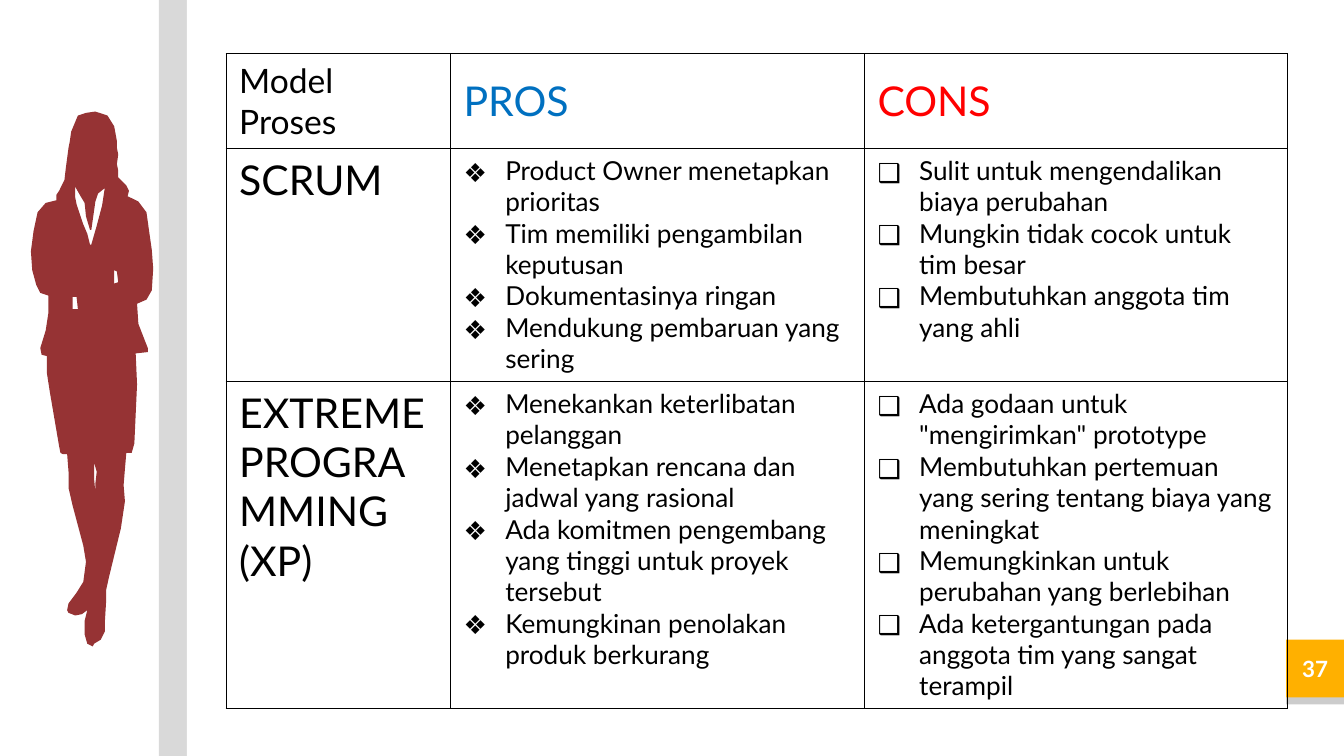
from lxml import etree
from pptx import Presentation
from pptx.dml.color import RGBColor
from pptx.enum.shapes import MSO_SHAPE
from pptx.enum.text import MSO_ANCHOR, PP_ALIGN
from pptx.oxml.ns import qn
from pptx.util import Inches, Pt

RECTANGLE = MSO_SHAPE.RECTANGLE
TOP, MIDDLE = MSO_ANCHOR.TOP, MSO_ANCHOR.MIDDLE
LEFT, CENTER = PP_ALIGN.LEFT, PP_ALIGN.CENTER

FONT = "Lato"
BLACK, WHITE, MAROON, AMBER = "000000", "FFFFFF", "963334", "FFB000"
PAGE_WIDTH = 10
PAGE_HEIGHT = PAGE_WIDTH * 9 / 16
PANEL_LEFT = 1.39
NUMBER_TOP, NUMBER_SIZE = 4.76, 0.43

TABLE_LEFT, TABLE_TOP = 1.68, 0.4
COLUMN_WIDTHS = [1.67, 3.08, 3.15]
ROW_HEIGHTS = [0.69, 1.72, 2.42]
HEADERS = [("Model Proses", 18, BLACK), ("PROS", 22, "0070C0"), ("CONS", 22, "FF0000")]
BULLETS = ["❖", "❑"]
MODELS = [
    ("SCRUM",
     ["Product Owner menetapkan prioritas",
      "Tim memiliki pengambilan keputusan",
      "Dokumentasinya ringan",
      "Mendukung pembaruan yang sering"],
     ["Sulit untuk mengendalikan biaya perubahan",
      "Mungkin tidak cocok untuk tim besar",
      "Membutuhkan anggota tim yang ahli"]),
    ("EXTREME PROGRAMMING (XP)",
     ["Menekankan keterlibatan pelanggan",
      "Menetapkan rencana dan jadwal yang rasional",
      "Ada komitmen pengembang yang tinggi untuk proyek tersebut",
      "Kemungkinan penolakan produk berkurang"],
     ["Ada godaan untuk \"mengirimkan\" prototype",
      "Membutuhkan pertemuan yang sering tentang biaya yang meningkat",
      "Memungkinkan untuk perubahan yang berlebihan",
      "Ada ketergantungan pada anggota tim yang sangat terampil"]),
]

# Contours of the standing woman, in hundredths of an inch
BODY = [
    (36, 220), (36, 233), (34, 246), (30, 259), (31, 264), (35, 265), (35, 278), (37, 291),
    (44, 332), (45, 337), (47, 338), (50, 338), (51, 351), (51, 363), (54, 376), (62, 406),
    (64, 418), (62, 433), (57, 441), (51, 449), (50, 454), (51, 456), (56, 458), (61, 457),
    (65, 454), (63, 462), (63, 472), (65, 479), (69, 481), (70, 479), (75, 476), (78, 470),
    (78, 464), (79, 447), (79, 439), (81, 430), (90, 393), (93, 373), (92, 361), (93, 349),
    (94, 337), (98, 337), (100, 330), (102, 286), (101, 263), (110, 262), (110, 259),
    (103, 241), (102, 226), (109, 223), (113, 216), (114, 200), (113, 186), (111, 172),
    (109, 158), (103, 150), (95, 146), (96, 142), (94, 138), (88, 132), (88, 127),
    (87, 122), (88, 115), (87, 110), (87, 105), (85, 94), (80, 86), (71, 83), (64, 84),
    (58, 86), (53, 98), (52, 105), (51, 110), (49, 125), (48, 134), (44, 142), (42, 145),
    (42, 149), (34, 151), (28, 158), (25, 172), (23, 187), (24, 201), (27, 212), (30, 218),
]
OPENINGS = {
    "right cuff": [(85, 201), (87, 202), (88, 210), (85, 211)],
    "legs": [(70, 337), (70, 344), (72, 351), (71, 360), (71, 366), (70, 356), (69.5, 346)],
    "collar": [(62, 167), (57, 152), (56, 147), (56, 139), (60, 146), (63, 151), (64, 161),
               (67, 171), (68, 171), (71, 150), (73, 144), (78, 140), (76, 153), (72, 168),
               (68, 182), (67, 182), (65, 174)],
    "left cuff": [(54, 221), (57, 221), (58, 230), (54, 230)],
}


def color(value):
    return RGBColor.from_string(value)


def add_xml(parent, tag, **attributes):
    return etree.SubElement(parent, qn(tag), attributes)


def write(para, text, size=14, fill=BLACK, bold=False, align=LEFT, bullet=None):
    span = para.add_run()
    span.text = text
    span.font.name, span.font.size, span.font.bold = FONT, Pt(size), bold
    span.font.color.rgb = color(fill)
    para.alignment = align
    if bullet:
        properties = para._p.get_or_add_pPr()
        indent = Inches(0.31)
        properties.set("marL", str(indent))
        properties.set("indent", str(-indent))
        add_xml(add_xml(properties, "a:buClr"), "a:srgbClr", val=BLACK)
        add_xml(properties, "a:buFont", typeface="Noto Sans Symbols")
        add_xml(properties, "a:buChar", char=bullet)


def paint(shape, fill):
    shape.shadow.inherit = False
    shape.fill.solid()
    shape.fill.fore_color.rgb = color(fill)
    shape.line.fill.background()


def cast_shadow(shape, distance, degrees, opacity):
    """Give the shape a sharp black shadow; distance in points, opacity in percent."""
    effects = shape._element.spPr.find(qn("a:effectLst"))
    shadow = add_xml(effects, "a:outerShdw", blurRad="0", dist=str(Pt(distance)),
                     dir=str(degrees * 60000), algn="bl", rotWithShape="0")
    add_xml(add_xml(shadow, "a:srgbClr", val=BLACK), "a:alpha", val=str(opacity * 1000))


def add_box(page, left, top, width, height, fill):
    box = page.shapes.add_shape(RECTANGLE, *map(Inches, (left, top, width, height)))
    paint(box, fill)
    return box


def add_page_number(page):
    place = (PAGE_WIDTH - NUMBER_SIZE, NUMBER_TOP, NUMBER_SIZE, NUMBER_SIZE)
    cast_shadow(add_box(page, *place, AMBER), 3.7, 90, 20)
    frame = page.shapes.add_textbox(*map(Inches, place)).text_frame
    frame.word_wrap = True
    frame.vertical_anchor = MIDDLE
    frame.margin_left = frame.margin_right = Inches(0.1)
    frame.margin_top = frame.margin_bottom = Inches(0.1)
    write(frame.paragraphs[0], "37", size=12, fill=WHITE, bold=True, align=CENTER)


def add_woman(page):
    builder = page.shapes.build_freeform(*BODY[0], scale=Inches(0.01))
    builder.add_line_segments(BODY[1:])
    for contour in OPENINGS.values():
        builder.move_to(*contour[0])
        builder.add_line_segments(contour[1:])
    paint(builder.convert_to_shape(), MAROON)


def format_cell(cell, anchor):
    cell.vertical_anchor = anchor
    cell.margin_left = cell.margin_right = Inches(0.1)
    cell.margin_top = cell.margin_bottom = Inches(0.05)
    properties = cell._tc.get_or_add_tcPr()
    for side in "LRTB":
        border = add_xml(properties, f"a:ln{side}", w=str(Pt(0.34)))
        add_xml(add_xml(border, "a:solidFill"), "a:srgbClr", val=BLACK)
    cell.fill.background()


def add_comparison(page):
    table = page.shapes.add_table(
        len(ROW_HEIGHTS), len(COLUMN_WIDTHS), Inches(TABLE_LEFT), Inches(TABLE_TOP),
        Inches(sum(COLUMN_WIDTHS)), Inches(sum(ROW_HEIGHTS))).table
    table.first_row = table.horz_banding = False
    for column, width in zip(table.columns, COLUMN_WIDTHS):
        column.width = Inches(width)
    for index, height in enumerate(ROW_HEIGHTS):
        table.rows[index].height = Inches(height)
        for cell in table.rows[index].cells:
            format_cell(cell, TOP if index else MIDDLE)

    for column, (text, size, fill) in enumerate(HEADERS):
        write(table.cell(0, column).text_frame.paragraphs[0], text, size=size, fill=fill)
    for row, (model, *lists) in enumerate(MODELS, 1):
        write(table.cell(row, 0).text_frame.paragraphs[0], model, size=22)
        for column, (items, bullet) in enumerate(zip(lists, BULLETS), 1):
            frame = table.cell(row, column).text_frame
            for index, item in enumerate(items):
                para = frame.add_paragraph() if index else frame.paragraphs[0]
                write(para, item, bullet=bullet)


def main():
    deck = Presentation()
    deck.slide_width, deck.slide_height = Inches(PAGE_WIDTH), Inches(PAGE_HEIGHT)
    page = deck.slides.add_slide(deck.slide_layouts[6])

    panel = add_box(page, PANEL_LEFT, 0, PAGE_WIDTH - PANEL_LEFT, PAGE_HEIGHT, WHITE)
    cast_shadow(panel, 15, 180, 15)
    add_page_number(page)
    add_comparison(page)
    add_woman(page)
    deck.save("out.pptx")


if __name__ == "__main__":
    main()
